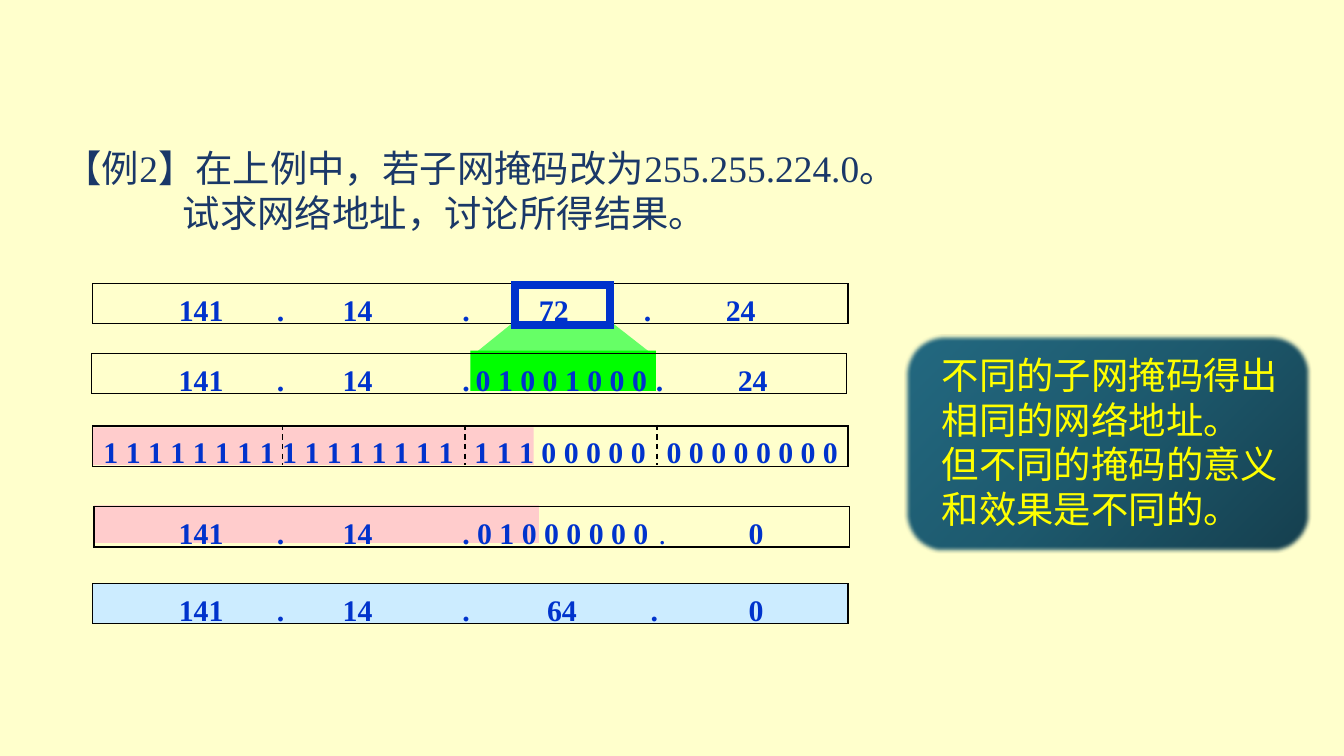
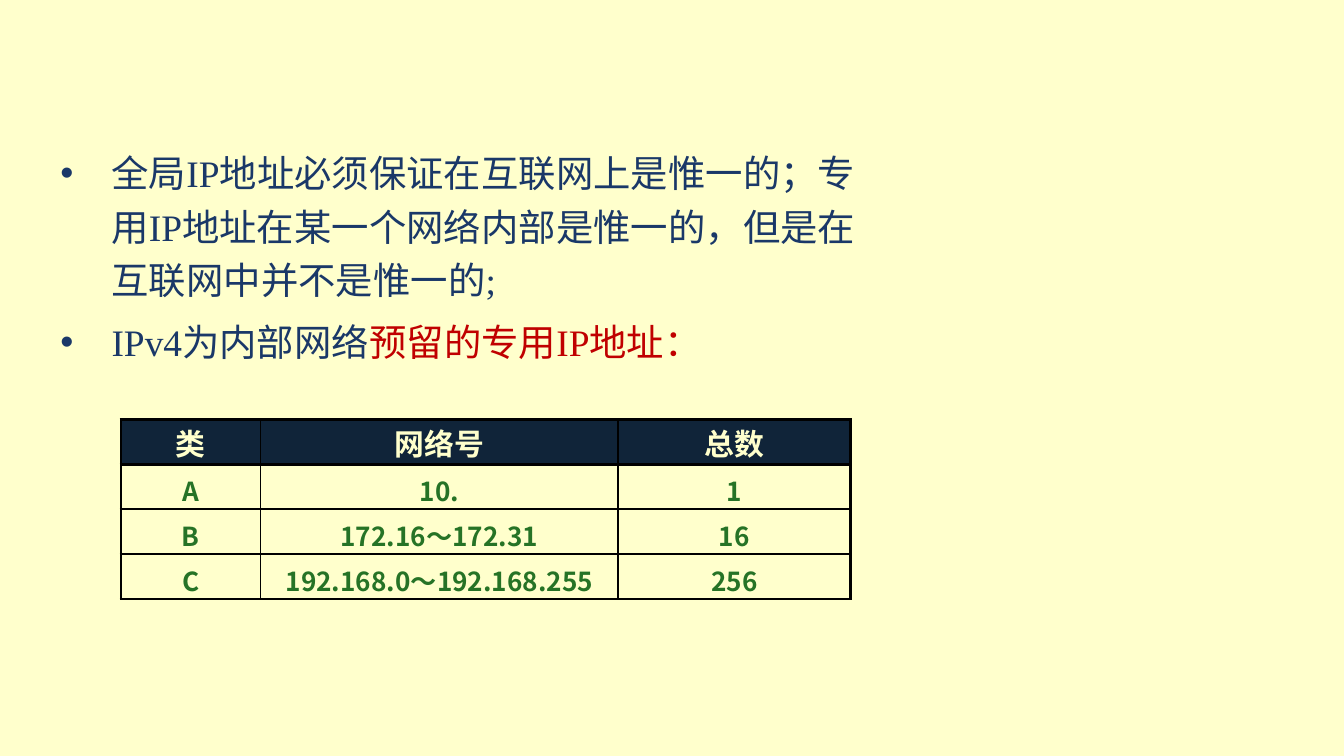
from copy import deepcopy
from dataclasses import dataclass

from lxml.etree import SubElement
from pptx import Presentation
from pptx.dml.color import RGBColor
from pptx.enum.dml import MSO_LINE
from pptx.enum.shapes import MSO_CONNECTOR, MSO_SHAPE
from pptx.enum.text import MSO_ANCHOR, MSO_AUTO_SIZE, PP_ALIGN
from pptx.oxml.ns import qn
from pptx.util import Inches, Pt


@dataclass(frozen=True)
class Theme:
    page: str = "FFFFCC"
    ink: str = "1A3868"
    digit: str = "0033CC"
    alert: str = "C00000"
    note: str = "FFFF00"
    black: str = "000000"
    mask: str = "FFCCCC"
    result: str = "CCECFF"
    octet: str = "00FF00"
    funnel: str = "66FF66"
    header: str = "102439"
    value: str = "267326"
    serif: str = "Times New Roman"
    sans: str = "Noto Sans CJK SC"
    body_size: int = 20
    digit_size: int = 16
    value_size: int = 14


THEME = Theme()
BODY = {"size": THEME.body_size, "name": THEME.serif, "color": THEME.ink}
NOTE = BODY | {"color": THEME.note}
PLAIN_DIGIT = {"size": THEME.digit_size, "name": THEME.serif, "color": THEME.digit}
DIGIT = PLAIN_DIGIT | {"bold": True}
HEADER = DIGIT | {"color": THEME.page}
VALUE = {"size": THEME.value_size, "name": THEME.sans, "color": THEME.value, "bold": True}

# Slide 1 content: address rows are (left, top, fill, [(x, text, optional style), ...])
QUESTION = "【例2】在上例中，若子网掩码改为255.255.224.0。试求网络地址，讨论所得结果。"
CONCLUSION = ["不同的子网掩码得出相同的网络地址。", "但不同的掩码的意义和效果是不同的。"]
NOTE_GRADIENT = [(0, "153E4D"), (0.5, "1D596D"), (1, "236981")]
NETWORK = [(1.33, "141"), (2.06, "."), (2.55, "14"), (3.44, ".")]
ROWS = [
    (0.69, 2.11, None, NETWORK + [(4.01, "72"), (4.79, "."), (5.4, "24")]),
    (0.68, 2.63, None, NETWORK + [(3.54, "0 1 0 0 1 0 0 0"), (4.88, "."), (5.49, "24")]),
    (0.69, 3.17, None, [(0.77, "1 1 1 1 1 1 1 1 1 1 1 1 1 1 1 1"),
                        (3.53, "1 1 1 0 0 0 0 0"), (4.96, "0 0 0 0 0 0 0 0")]),
    (0.7, 3.77, None, NETWORK + [(3.55, "0 1 0 0 0 0 0 0"), (4.9, ".", PLAIN_DIGIT),
                                 (5.57, "0")]),
    (0.69, 4.34, THEME.result, NETWORK + [(4.07, "64"), (4.84, "."), (5.57, "0")]),
]
ROW_WIDTH, ROW_HEIGHT = 5.62, 0.3
BANDS = [
    (THEME.octet, (3.5, 2.61, 1.38, 0.3)),
    (THEME.mask, (0.69, 3.18, 3.28, 0.28)),
    (THEME.mask, (0.7, 3.76, 3.31, 0.28)),
]
FUNNEL = [(3.83, 2.39), (4.54, 2.39), (4.86, 2.64), (3.52, 2.64)]
OCTET_BORDERS = [2.1, 3.46, 4.89]

# Slide 2 content
POINTS = [
    [("全局IP地址必须保证在互联网上是惟一的；专用IP地址在某一个网络内部是惟一的，"
      "但是在互联网中并不是惟一的;", THEME.ink)],
    [("IPv4为内部网络", THEME.ink), ("预留的专用IP地址：", THEME.alert)],
]
TABLE = [
    ("类", "网络号", "总数"),
    ("A", "10.", "1"),
    ("B", "172.16～172.31", "16"),
    ("C", "192.168.0～192.168.255", "256"),
]
COLUMN_WIDTHS = [1.04, 2.66, 1.73]
TABLE_HEIGHT = 1.34


def inches(*lengths):
    return [Inches(length) for length in lengths]


def color(value):
    return RGBColor.from_string(value)


def set_attributes(target, values):
    for name, value in values.items():
        setattr(target, name, value)


def add_span(para, text, style):
    span = para.add_run()
    span.text = text
    values = {name: value for name, value in style.items() if name != "color"}
    set_attributes(span.font, values | {"size": Pt(style["size"])})
    span.font.color.rgb = color(style["color"])
    latin = span.font._element.find(qn("a:latin"))
    east_asian = deepcopy(latin)
    east_asian.tag = qn("a:ea")
    east_asian.set("typeface", THEME.sans)
    latin.addnext(east_asian)


def set_frame(frame, **values):
    set_attributes(frame, {"word_wrap": True, "auto_size": MSO_AUTO_SIZE.NONE,
                           "vertical_anchor": MSO_ANCHOR.TOP} | values)


def set_indent(para, left, first=0):
    properties = para._p.get_or_add_pPr()
    properties.set("marL", str(Inches(left)))
    properties.set("indent", str(Inches(first)))


def paint(shape, fill=None, line=None, weight=0.75):
    shape.shadow.inherit = False
    if fill:
        shape.fill.solid()
        shape.fill.fore_color.rgb = color(fill)
    else:
        shape.fill.background()
    if line:
        shape.line.color.rgb = color(line)
        shape.line.width = Pt(weight)
        SubElement(shape._element.spPr.find(qn("a:ln")), qn("a:miter"), lim="800000")
    else:
        shape.line.fill.background()


def add_box(page, place, kind=MSO_SHAPE.RECTANGLE, **look):
    box = page.shapes.add_shape(kind, *inches(*place))
    paint(box, **look)
    return box


def add_funnel(page):
    start, *others = [inches(*point) for point in FUNNEL]
    builder = page.shapes.build_freeform(*start, scale=1.0)
    builder.add_line_segments(others, close=True)
    paint(builder.convert_to_shape(), fill=THEME.funnel)


def add_row_text(page, left, top, items):
    """Set every part of an address on its own tab stop."""
    box = page.shapes.add_textbox(*inches(left, top + 0.01, ROW_WIDTH, 0.37))
    set_frame(box.text_frame, margin_left=0, margin_right=0)
    para = box.text_frame.paragraphs[0]
    stops = SubElement(para._p.get_or_add_pPr(), qn("a:tabLst"))
    for x, text, *style in items:
        SubElement(stops, qn("a:tab"), pos=str(Inches(x - left)), algn="l")
        add_span(para, "\t" + text, *(style or [DIGIT]))


def add_dashed_line(page, x, top, bottom):
    line = page.shapes.add_connector(MSO_CONNECTOR.STRAIGHT, *inches(x, top, x, bottom))
    set_attributes(line.line, {"width": Pt(0.75), "dash_style": MSO_LINE.DASH})
    line.line.color.rgb = color(THEME.black)
    SubElement(line._element.spPr, qn("a:effectLst"))


def add_conclusion(page):
    box = add_box(page, (6.73, 2.49, 3.02, 1.62), MSO_SHAPE.ROUNDED_RECTANGLE,
                  line=THEME.black)
    box.fill.gradient()
    box.fill.gradient_angle = 135
    stops = box._element.spPr.find(".//" + qn("a:gsLst"))
    stops.append(deepcopy(stops[0]))
    for stop, (position, value) in zip(box.fill.gradient_stops, NOTE_GRADIENT):
        stop.position = position
        stop.color.rgb = color(value)
    effects = box._element.spPr.find(qn("a:effectLst"))
    SubElement(effects, qn("a:softEdge"), rad=str(Pt(2.5)))
    set_frame(box.text_frame)
    for index, text in enumerate(CONCLUSION):
        frame = box.text_frame
        para = frame.add_paragraph() if index else frame.paragraphs[0]
        para.alignment = PP_ALIGN.LEFT
        set_indent(para, 0.1)
        add_span(para, text, NOTE)


def place_placeholder(shape, place):
    set_attributes(shape, dict(zip(("left", "top", "width", "height"), inches(*place))))


def build_mask_page(deck):
    page = deck.slides.add_slide(deck.slide_layouts[5])
    title = page.shapes.title
    place_placeholder(title, (0.38, 0.94, 6.51, 0.86))
    set_frame(title.text_frame, vertical_anchor=MSO_ANCHOR.BOTTOM)
    para = title.text_frame.paragraphs[0]
    para.alignment = PP_ALIGN.LEFT
    set_indent(para, 0.88, -0.88)
    add_span(para, QUESTION, BODY)

    # Coloured areas lie behind the row frames
    add_funnel(page)
    for fill, place in BANDS:
        add_box(page, place, fill=fill)
    for left, top, fill, items in ROWS:
        add_box(page, (left, top, ROW_WIDTH, ROW_HEIGHT), fill=fill, line=THEME.black)
        add_row_text(page, left, top, items)
    for x in OCTET_BORDERS:
        add_dashed_line(page, x, 3.16, 3.46)
    add_box(page, (3.83, 2.12, 0.71, 0.3), line=THEME.digit, weight=4.5)
    add_conclusion(page)


def set_borders(cell, weights):
    properties = cell._tc.get_or_add_tcPr()
    for index, (side, weight) in enumerate(weights.items()):
        line = SubElement(properties, qn("a:" + side), w=str(Pt(weight)))
        fill = SubElement(line, qn("a:solidFill"))
        SubElement(fill, qn("a:srgbClr"), val=THEME.black)
        properties.insert(index, line)


def add_address_table(page):
    rows, columns = len(TABLE), len(COLUMN_WIDTHS)
    place = (0.9, 3.12, sum(COLUMN_WIDTHS), TABLE_HEIGHT)
    table = page.shapes.add_table(rows, columns, *inches(*place)).table
    set_attributes(table, {"first_row": False, "horz_banding": False})
    for column, width in zip(table.columns, COLUMN_WIDTHS):
        column.width = Inches(width)
    for r, texts in enumerate(TABLE):
        table.rows[r].height = Inches(TABLE_HEIGHT / rows)
        for c, text in enumerate(texts):
            cell = table.cell(r, c)
            set_attributes(cell, {"margin_left": Inches(0.07), "margin_right": Inches(0.07),
                                  "margin_top": Pt(12), "margin_bottom": 0})
            if r == 0:
                cell.fill.solid()
                cell.fill.fore_color.rgb = color(THEME.header)
            else:
                cell.fill.background()
            # Outer edges and the header rule are heavier
            heavy = {"lnL": c == 0, "lnR": c == columns - 1,
                     "lnT": r <= 1, "lnB": r in (0, rows - 1)}
            set_borders(cell, {side: 1.5 if on else 1 for side, on in heavy.items()})
            para = cell.text_frame.paragraphs[0]
            set_attributes(para, {"alignment": PP_ALIGN.CENTER, "line_spacing": Pt(12)})
            add_span(para, text, VALUE if r else HEADER)


def build_private_address_page(deck):
    page = deck.slides.add_slide(deck.slide_layouts[1])
    title = page.shapes.title._element
    title.getparent().remove(title)
    body = page.placeholders[1]
    place_placeholder(body, (0.35, 1, 6.38, 1.97))
    set_frame(body.text_frame)
    for index, parts in enumerate(POINTS):
        frame = body.text_frame
        para = frame.add_paragraph() if index else frame.paragraphs[0]
        para.line_spacing = 1.2
        set_indent(para, 0.38, -0.38)
        for text, ink in parts:
            add_span(para, text, BODY | {"color": ink})
    add_address_table(page)


def main():
    deck = Presentation()
    # Widescreen, 16 to 9
    set_attributes(deck, {"slide_width": Inches(10), "slide_height": Inches(10 * 9 / 16)})
    background = deck.slide_master.background.fill
    background.solid()
    background.fore_color.rgb = color(THEME.page)
    build_mask_page(deck)
    build_private_address_page(deck)
    deck.save("out.pptx")


if __name__ == "__main__":
    main()
